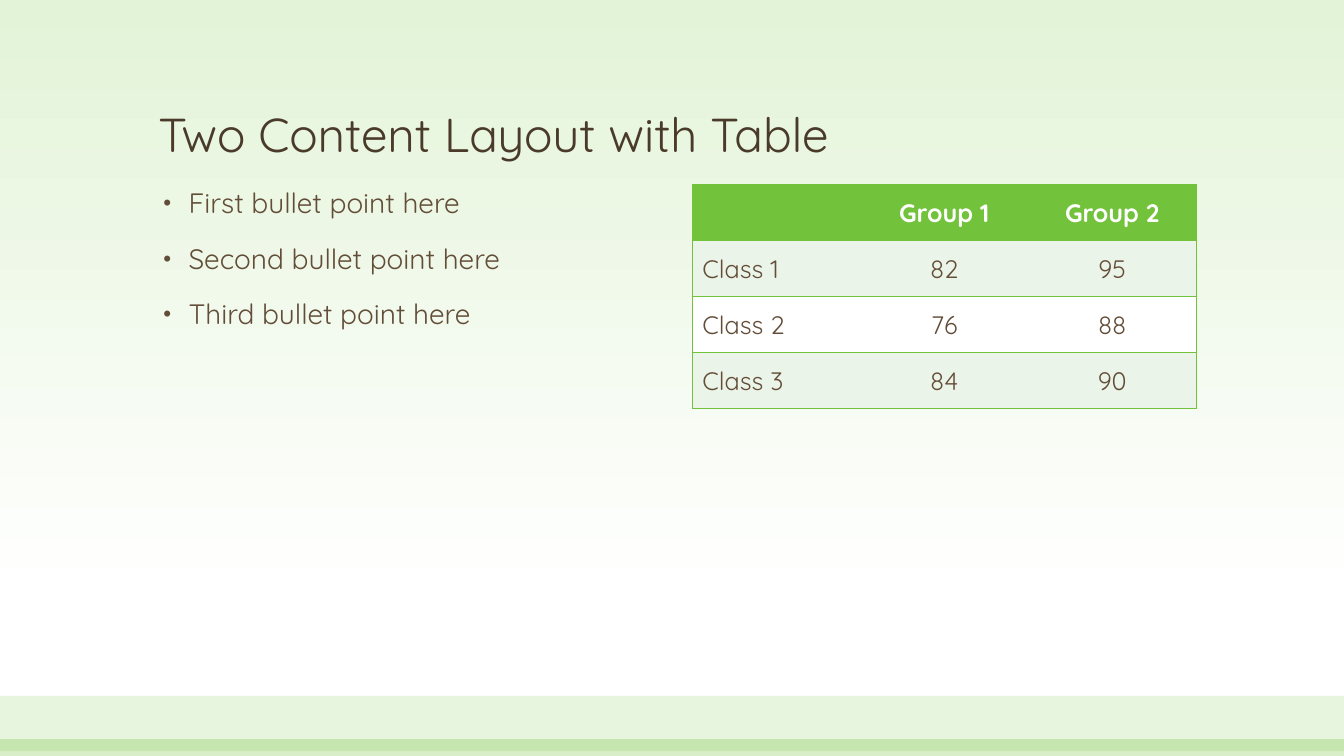
"""Build a slide with a bullet list beside a table of class results."""
from lxml.etree import SubElement
from pptx import Presentation
from pptx.dml.color import RGBColor
from pptx.enum.shapes import MSO_SHAPE
from pptx.enum.text import MSO_ANCHOR, MSO_AUTO_SIZE, PP_ALIGN
from pptx.oxml.ns import qn
from pptx.util import Pt

GREEN, PALE, WHITE = "72C23C", "EBF4E8", "FFFFFF"
TITLE_BROWN, TEXT_BROWN = "4A3A2A", "624D38"
LEFT, RIGHT, CONTENT_TOP, COLUMN_WIDTH = 106, 854.5, 132, 360
ROW_HEIGHT = 40


def paint(color_format, color):
    color_format.rgb = RGBColor.from_string(color)


def style_text(paragraph, size, color, bold=False):
    for run in paragraph.runs:
        run.font.name = "Quicksand"
        run.font.size = Pt(size)
        run.font.bold = bold
        paint(run.font.color, color)


presentation = Presentation()
presentation.slide_width, presentation.slide_height = Pt(960), Pt(540)
slide = presentation.slides.add_slide(presentation.slide_layouts[5])

background = slide.background.fill
background.gradient()
background.gradient_angle = 270
for stop, (position, color) in zip(background.gradient_stops, [(0, "E3F3D8"), (0.79, WHITE)]):
    stop.position = position
    paint(stop.color, color)

for top, height, opacity in [(497, 39.5, 17), (528, 12, 28)]:
    band = slide.shapes.add_shape(MSO_SHAPE.RECTANGLE, 0, Pt(top), Pt(960), Pt(height))
    band.shadow.inherit = False
    band.line.fill.background()
    band.fill.solid()
    paint(band.fill.fore_color, GREEN)
    band_color = band.fill._xPr.find(qn("a:solidFill"))[0]
    SubElement(band_color, qn("a:alpha"), val=str(opacity * 1000))

title = slide.shapes.title
title.left, title.top, title.width, title.height = Pt(LEFT), Pt(34.5), Pt(RIGHT - LEFT), Pt(85.5)
title.text_frame.text = "Two Content Layout with Table"
title.text_frame.vertical_anchor = MSO_ANCHOR.BOTTOM
title.text_frame.auto_size = MSO_AUTO_SIZE.NONE
heading = title.text_frame.paragraphs[0]
heading.alignment = PP_ALIGN.LEFT
heading.line_spacing = 0.9
style_text(heading, 34, TITLE_BROWN)

bullet_box = slide.shapes.add_textbox(Pt(LEFT), Pt(CONTENT_TOP), Pt(COLUMN_WIDTH), Pt(342))
bullet_box.text_frame.word_wrap = True
bullet_box.text_frame.text = "\n".join(
    f"{ordinal} bullet point here" for ordinal in ["First", "Second", "Third"])
for paragraph in bullet_box.text_frame.paragraphs:
    paragraph.line_spacing = 0.9
    paragraph.space_before = Pt(18)
    style_text(paragraph, 20, TEXT_BROWN)
    properties = paragraph._p.get_or_add_pPr()
    properties.set("marL", str(Pt(21.6)))
    properties.set("indent", str(-Pt(18)))
    SubElement(properties, qn("a:buSzPct"), val="80000")
    SubElement(properties, qn("a:buFont"), typeface="Arial")
    SubElement(properties, qn("a:buChar"), char="•")

results = [
    ["", "Group 1", "Group 2"],
    ["Class 1", "82", "95"],
    ["Class 2", "76", "88"],
    ["Class 3", "84", "90"],
]
row_fills = [GREEN, PALE, WHITE, PALE]
table = slide.shapes.add_table(
    len(results), len(results[0]), Pt(RIGHT - COLUMN_WIDTH), Pt(CONTENT_TOP),
    Pt(COLUMN_WIDTH), Pt(ROW_HEIGHT * len(results))).table
no_style = "{2D5ABB26-0587-4C30-8999-92F81FD0307C}"
table._tbl.tblPr.find(qn("a:tableStyleId")).text = no_style

for row_index, (values, row_fill) in enumerate(zip(results, row_fills)):
    for column_index, value in enumerate(values):
        cell = table.cell(row_index, column_index)
        cell.text_frame.text = value
        cell.vertical_anchor = MSO_ANCHOR.MIDDLE
        paragraph = cell.text_frame.paragraphs[0]
        paragraph.alignment = PP_ALIGN.CENTER if column_index else PP_ALIGN.LEFT
        is_header = row_index == 0
        style_text(paragraph, 18, WHITE if is_header else TEXT_BROWN, is_header)

        edges = ["a:lnT", "a:lnB"]
        if column_index == 0:
            edges.insert(0, "a:lnL")
        if column_index == len(values) - 1:
            edges.insert(0, "a:lnR")
        cell_properties = cell._tc.get_or_add_tcPr()
        for edge in edges:
            border = SubElement(cell_properties, qn(edge), w=str(Pt(1)))
            border_fill = SubElement(border, qn("a:solidFill"))
            SubElement(border_fill, qn("a:srgbClr"), val=GREEN)
        cell.fill.solid()
        paint(cell.fill.fore_color, row_fill)

presentation.save("out.pptx")
